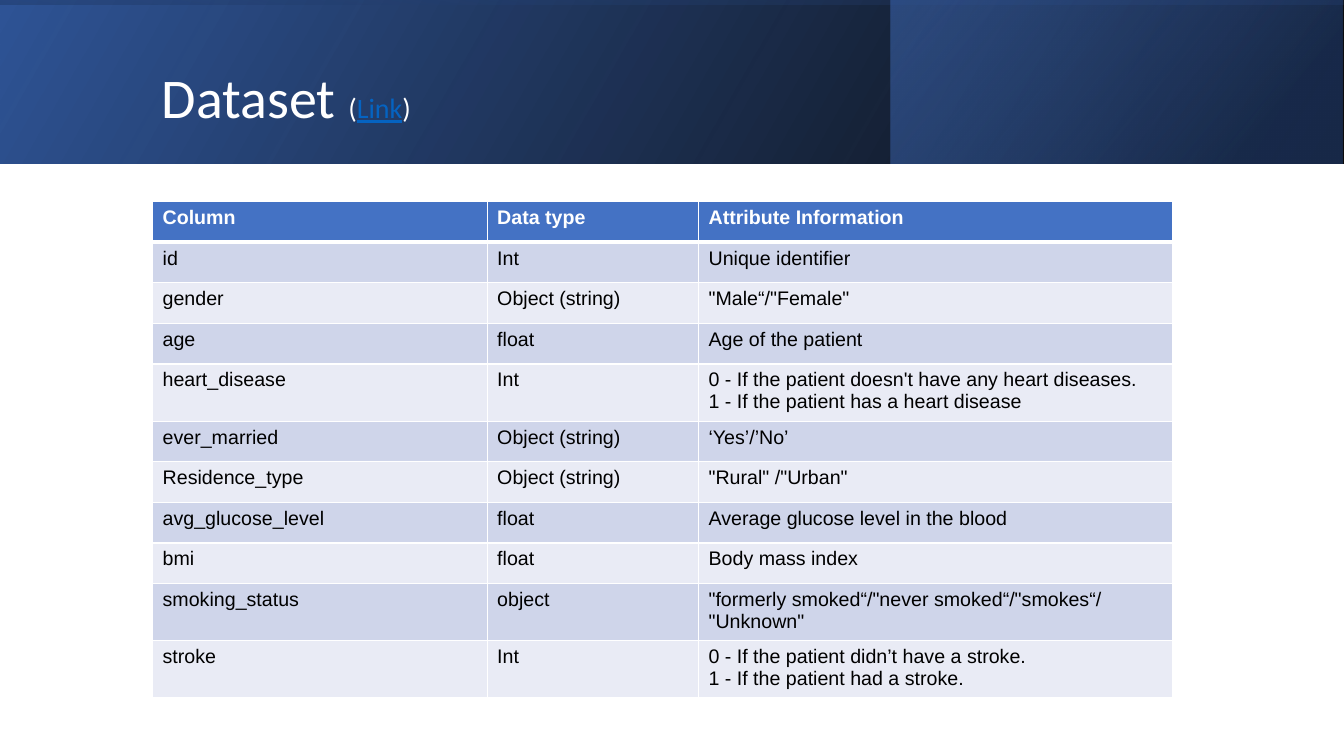
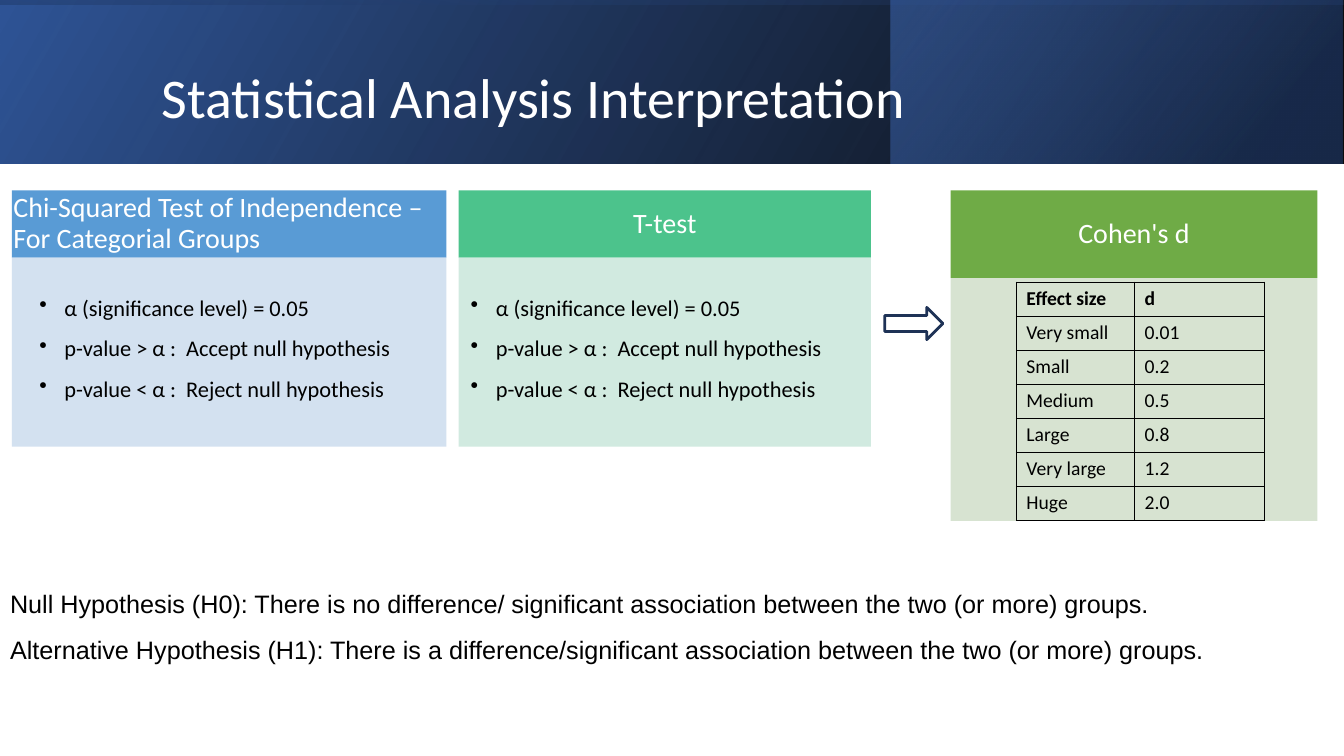
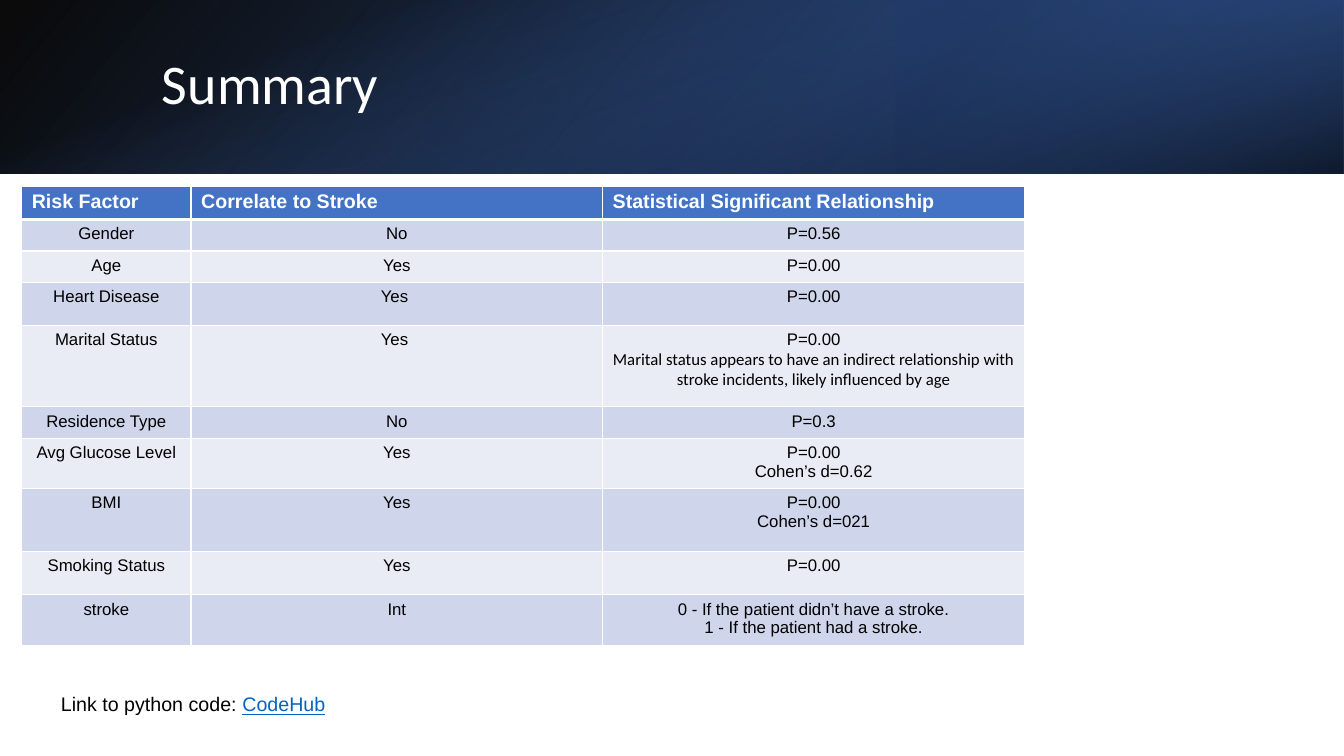
from lxml import etree
from pptx import Presentation
from pptx.dml.color import RGBColor
from pptx.enum.shapes import MSO_SHAPE as Shape
from pptx.enum.text import MSO_ANCHOR as Anchor, PP_ALIGN as Align
from pptx.oxml.ns import qn
from pptx.util import Pt

COLORS = {
    "white": "FFFFFF", "black": "000000", "link": "0563C1", "blue": "4472C4",
    "deep": "2F5496", "navy": "1F3864", "odd row": "CFD5EA", "even row": "E9EBF5",
    "arrow": "1E3256", "sky": "599BD5", "pale sky": "CFDEEF", "mint": "4CC38C",
    "pale mint": "CCE8DD", "green": "6FAB46", "pale green": "D3E1CC",
}
WIDTH, HEIGHT = 960, 540

# Band layers: left, width, angle, stops of (position, colour, opacity)
BASE_STOPS = [(0, "black", 96), (100, "deep", 100)]
BAND = [
    (0, WIDTH, 210, BASE_STOPS),
    (636.5, 322.5, 220, [(0, "navy", 68), (19, "navy", 68), (100, "blue", 48)]),
    (0, WIDTH, 100, [(0, "deep", 16), (23, "deep", 16), (99, "black", 45), (100, "black", 45)]),
]
SUMMARY_BAND = [
    (0, WIDTH, 40, BASE_STOPS),
    (640, 320, 40, [(0, "navy", 68), (19, "navy", 68), (100, "blue", 79)]),
    (0, WIDTH, 70, [(0, "blue", 0), (23, "blue", 0), (99, "black", 74), (100, "black", 74)]),
]

STROKE_LABELS = "0 - If the patient didn’t have a stroke.\n1 - If the patient had a stroke."
DATASET = [
    ("Column", "Data type", "Attribute Information"),
    ("id", "Int", "Unique identifier"),
    ("gender", "Object (string)", "\"Male“/\"Female\""),
    ("age", "float", "Age of the patient"),
    ("heart_disease", "Int", "0 - If the patient doesn't have any heart diseases.\n"
                             "1 - If the patient has a heart disease"),
    ("ever_married", "Object (string)", "‘Yes’/’No’"),
    ("Residence_type", "Object (string)", "\"Rural\" /\"Urban\""),
    ("avg_glucose_level", "float", "Average glucose level in the blood"),
    ("bmi", "float", "Body mass index"),
    ("smoking_status", "object", "\"formerly smoked“/\"never smoked“/\"smokes“/ \"Unknown\""),
    ("stroke", "Int", STROKE_LABELS),
]
DATASET_HEIGHTS = [29] * 4 + [39.5] + [29] * 4 + [39.5] * 2

FACTORS = [
    ("Risk Factor", "Correlate to Stroke", "Statistical Significant Relationship"),
    ("Gender", "No", "P=0.56"),
    ("Age", "Yes", "P=0.00"),
    ("Heart Disease", "Yes ", "P=0.00"),
    ("Marital Status", "Yes ", "P=0.00\nMarital status appears to have an indirect relationship "
                               "with stroke incidents, likely influenced by age"),
    ("Residence Type", "No", "P=0.3"),
    ("Avg Glucose Level", "Yes", "P=0.00\nCohen’s d=0.62"),
    ("BMI", "Yes", "P=0.00\nCohen’s d=021"),
    ("Smoking Status", "Yes", "P=0.00"),
    ("stroke", "Int", STROKE_LABELS),
]
FACTOR_HEIGHTS = [22.4, 22.4, 22.4, 30.8, 58.2, 22.4, 34, 45, 30.8, 34]
MARITAL_ROW = 4

EFFECTS = [
    ("Effect size", "d"), ("Very small", "0.01"), ("Small", "0.2"), ("Medium", "0.5"),
    ("Large", "0.8"), ("Very large", "1.2"), ("Huge", "2.0"),
]
RULES = ("α (significance level) = 0.05\np-value > α :  Accept null hypothesis\n"
         "p-value < α :  Reject null hypothesis")
HYPOTHESES = (
    "Null Hypothesis (H0): There is no difference/ significant association "
    "between the two (or more) groups.\n"
    "Alternative Hypothesis (H1): There is a difference/significant association "
    "between the two (or more) groups."
)
PANEL_TOP = 136
# Panels: heading, alignment, left, width, heading height, body height, colour, rules, indent
PANELS = [
    ("Chi-Squared Test of Independence –\nFor Categorial Groups", Align.LEFT,
     8.6, 310.4, 48, 135, "sky", RULES, 19.5),
    ("T-test", Align.CENTER, 327.6, 294.5, 48, 135, "mint", RULES, 8.6),
    ("Cohen's d", Align.CENTER, 679, 262, 62.6, 173.5, "green", "", 0),
]


def rgb(name):
    return RGBColor.from_string(COLORS[name])


def add_xml(parent, tag, **attributes):
    return etree.SubElement(parent, qn(tag), {key: str(value) for key, value in attributes.items()})


def add_color(parent, name, opacity=100):
    color = add_xml(parent, "a:srgbClr", val=COLORS[name])
    if opacity < 100:
        add_xml(color, "a:alpha", val=opacity * 1000)


def set_font(font, size, color, name="Calibri", bold=False):
    font.size, font.name, font.bold = Pt(size), name, bold
    font.color.rgb = rgb(color)


def set_margins(frame, left, top, right, bottom):
    frame.margin_left, frame.margin_top = Pt(left), Pt(top)
    frame.margin_right, frame.margin_bottom = Pt(right), Pt(bottom)


def add_rectangle(page, left, top, width, height, kind=Shape.RECTANGLE):
    box = page.shapes.add_shape(kind, Pt(left), Pt(top), Pt(width), Pt(height))
    box.shadow.inherit = False
    return box


def add_text_box(page, left, top, width, height):
    frame = page.shapes.add_textbox(Pt(left), Pt(top), Pt(width), Pt(height)).text_frame
    frame.word_wrap = True
    return frame


def add_linked_text(para, spans):
    """Spans are (text, is link, size); all but links keep the paragraph's colour."""
    for text, linked, size in spans:
        span = para.add_run()
        span.text = text
        span.font.size = Pt(size)
        if linked:
            span.font.color.rgb = rgb("link")
            span.font.underline = True


def fill_gradient(box, angle, stops):
    box.line.fill.background()
    box.fill.gradient()
    gradient = box._element.spPr.find(qn("a:gradFill"))
    for child in list(gradient):
        gradient.remove(child)
    stop_list = add_xml(gradient, "a:gsLst")
    for position, color, opacity in stops:
        add_color(add_xml(stop_list, "a:gs", pos=position * 1000), color, opacity)
    add_xml(gradient, "a:lin", ang=angle * 60000, scaled=0)


def add_page(deck, title, layers=BAND, height=116.6, title_height=89.3):
    page = deck.slides.add_slide(deck.slide_layouts[6])
    for left, width, angle, stops in layers:
        fill_gradient(add_rectangle(page, left, 0, width, height), angle, stops)
    frame = add_text_box(page, 108.6, 27.4, 765, title_height)
    frame.vertical_anchor = Anchor.MIDDLE
    para = frame.paragraphs[0]
    para.line_spacing = 0.9
    set_font(para.font, 40, "white")
    add_linked_text(para, title)
    return page


def set_borders(cell, color, bottom=1):
    properties = cell._tc.get_or_add_tcPr()
    for side, width in (("L", 1), ("R", 1), ("T", 1), ("B", bottom)):
        line = add_xml(properties, f"a:ln{side}", w=Pt(width))
        add_color(add_xml(line, "a:solidFill"), color)


def add_grid(page, rows, left, top, widths, heights, size=14, name="Arial",
             align=Align.LEFT, banded=True):
    table = page.shapes.add_table(len(rows), len(widths), Pt(left), Pt(top),
                                  Pt(sum(widths)), Pt(sum(heights))).table
    table.first_row = table.horz_banding = False
    for column, width in zip(table.columns, widths):
        column.width = Pt(width)
    for index, (row, texts, height) in enumerate(zip(table.rows, rows, heights)):
        row.height = Pt(height)
        header = index == 0
        for cell, text in zip(row.cells, texts):
            set_borders(cell, "white" if banded else "black", 3 if banded and header else 1)
            if banded:
                cell.fill.solid()
                band = "odd row" if index % 2 else "even row"
                cell.fill.fore_color.rgb = rgb("blue" if header else band)
            else:
                cell.fill.background()
            cell.text_frame.text = text
            for para in cell.text_frame.paragraphs:
                para.alignment = Align.LEFT if header else align
                set_font(para.font, 14 if header else size,
                         "white" if banded and header else "black", name, header)
    return table


def add_block(page, left, top, width, height, color, opacity=100):
    box = add_rectangle(page, left, top, width, height)
    box.fill.solid()
    box.fill.fore_color.rgb = rgb(color)
    box.line.fill.background()
    if opacity < 100:
        tint = box._element.spPr.find(qn("a:solidFill"))[0]
        add_xml(tint, "a:alpha", val=opacity * 1000)
    return box.text_frame


def add_panel(page, heading, align, left, width, head_height, body_height, color, rules, indent):
    head = add_block(page, left, PANEL_TOP, width, head_height, color)
    set_margins(head, 1, 0, 1, 0)
    head.vertical_anchor = Anchor.MIDDLE
    head.text = heading
    for para in head.paragraphs:
        para.alignment, para.line_spacing = align, 0.9
        set_font(para.font, 20, "white")

    body = add_block(page, left, PANEL_TOP + head_height, width, body_height, "pale " + color, 90)
    if not rules:
        return
    set_margins(body, indent, 16.6, 0, 0)
    body.vertical_anchor = Anchor.TOP
    body.text = rules
    for para in body.paragraphs:
        para.alignment, para.line_spacing = Align.LEFT, 1.5
        set_font(para.font, 16, "black")
        properties = para._p.get_or_add_pPr()
        properties.set("marL", str(Pt(18)))
        properties.set("indent", str(-Pt(18)))
        bullet = etree.Element(qn("a:buChar"), char="•")
        properties.find(qn("a:defRPr")).addprevious(bullet)


def build_dataset(deck):
    page = add_page(deck, [("Dataset ", False, 40), ("(", False, 20),
                           ("Link", True, 20), (")", False, 20)])
    add_grid(page, DATASET, 109, 144, [239, 151, 338.5], DATASET_HEIGHTS)


def build_interpretation(deck):
    page = add_page(deck, [("Statistical Analysis Interpretation", False, 40)])
    for panel in PANELS:
        add_panel(page, *panel)
    arrow = add_rectangle(page, 632, 219.6, 41.5, 23, Shape.RIGHT_ARROW)
    arrow.fill.background()
    arrow.line.color.rgb = rgb("arrow")
    arrow.line.width = Pt(2)
    add_grid(page, EFFECTS, 726, 201.6, [84.5, 93], [24.3] * len(EFFECTS),
             name="Calibri", banded=False)
    frame = add_text_box(page, 7.2, 408.5, 945, 66)
    set_margins(frame, 0, 0, 0, 0)
    frame.text = HYPOTHESES
    for para in frame.paragraphs:
        para.line_spacing = Pt(33)
        set_font(para.font, 18, "black", "Arial")


def build_summary(deck):
    page = add_page(deck, [("Summary", False, 40)], SUMMARY_BAND, 124, 69)
    table = add_grid(page, FACTORS, 15.5, 132.8, [121, 294, 301.5], FACTOR_HEIGHTS,
                     size=12, align=Align.CENTER)
    table.cell(MARITAL_ROW, 2).text_frame.paragraphs[1].font.name = "Calibri"
    para = add_text_box(page, 36.5, 491, 268, 24.5).paragraphs[0]
    set_font(para.font, 14, "black", "Arial")
    add_linked_text(para, [("Link to python code: ", False, 14), ("CodeHub", True, 14)])


def main():
    deck = Presentation()
    deck.slide_width, deck.slide_height = Pt(WIDTH), Pt(HEIGHT)
    build_dataset(deck)
    build_interpretation(deck)
    build_summary(deck)
    deck.save("out.pptx")


if __name__ == "__main__":
    main()
